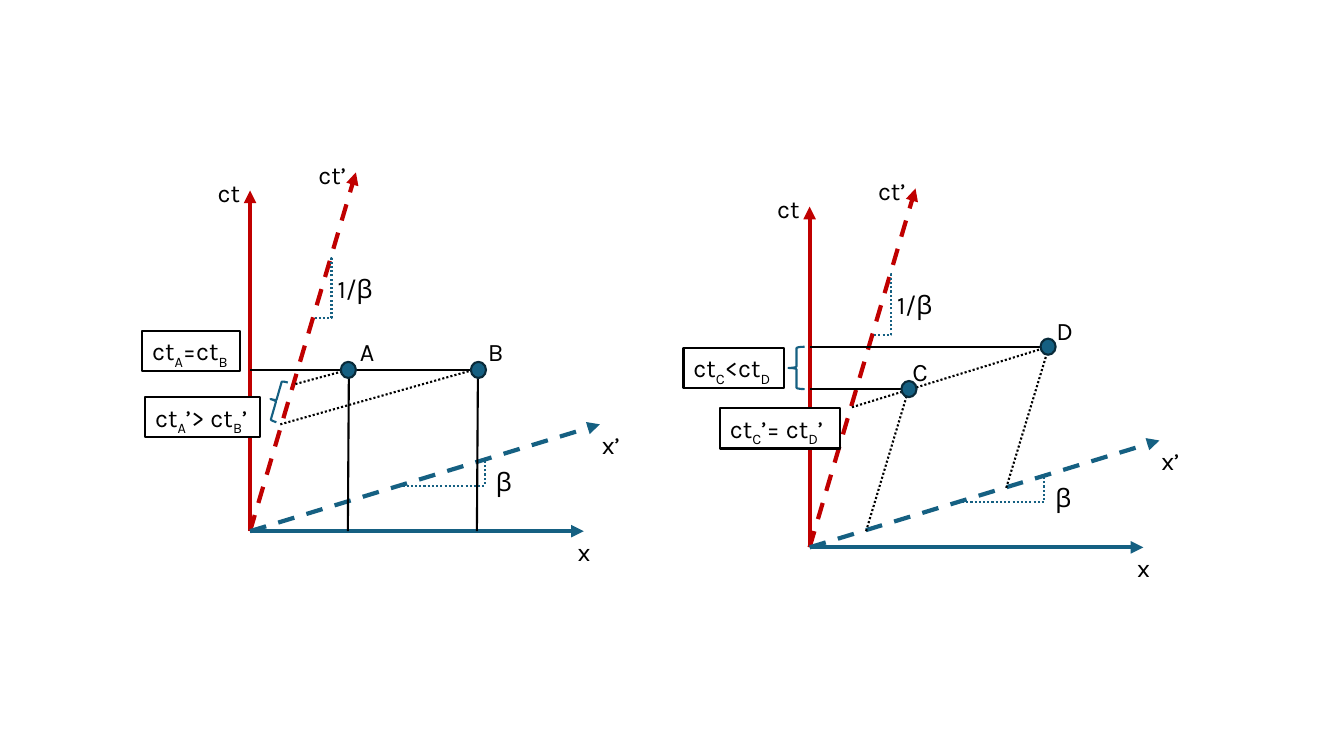
import pptx
import pptx.dml.color
import pptx.enum.dml
import pptx.enum.shapes
import pptx.enum.text
import pptx.oxml.ns
import pptx.oxml.xmlchemy
import pptx.util

PX = 9144
FONT = "Karla"
BLACK, WHITE, RED, BLUE, NAVY = "000000", "FFFFFF", "C00000", "156082", "092A39"
SHAPE = pptx.enum.shapes.MSO_SHAPE
DASH = pptx.enum.dml.MSO_LINE.DASH
DOT = pptx.enum.dml.MSO_LINE.ROUND_DOT

SIMULTANEOUS_AT_REST = {
    "lines": [
        ((42, 214), (275, 214), None),
        ((140, 222), (139, 374), None),
        ((268, 222), (267, 374), None),
        ((87, 228), (139, 214), DOT),
        ((72, 268), (267, 213), DOT),
    ],
    "boxes": [("ct|A|=ct|B", -65, 175, 97), ("ct|A|’> ct|B|’", -62, 241, 114)],
    "brace": (SHAPE.RIGHT_BRACE, 62, 224, 12, 41, 196),
    "points": [(132, 206), (261, 206)],
    "names": [("A", 141, 176, 35), ("B", 268, 176, 35)],
}
SIMULTANEOUS_IN_MOTION = {
    "lines": [
        ((237, 315), (279, 176), DOT),
        ((84, 235), (279, 175), DOT),
        ((98, 358), (140, 218), DOT),
        ((133, 217), (42, 217), None),
        ((271, 175), (42, 175), None),
    ],
    "boxes": [("ct|C|<ct|D", -83, 176, 100), ("ct|C|’= ct|D|’", -47, 236, 119)],
    "brace": (SHAPE.LEFT_BRACE, 21, 175, 16, 42, 0),
    "points": [(133, 209), (271, 167)],
    "names": [("C", 134, 180, 38), ("D", 277, 139, 38)],
}


def px(length):
    """Turn px into EMU."""
    return pptx.util.Emu(round(length * PX))


def color(value):
    """Turn a hex string into a colour."""
    return pptx.dml.color.RGBColor.from_string(value)


def apply(target, values):
    """Set each attribute named in a dict of values."""
    for name, value in values.items():
        setattr(target, name, value)


def add_element(parent, tag, **attributes):
    """Append an XML element with its attributes."""
    element = pptx.oxml.xmlchemy.OxmlElement(tag)
    for name, value in attributes.items():
        element.set(name, value)
    parent.append(element)


def style_line(line, value, width):
    """Give a line its colour and width in points."""
    line.color.rgb = color(value)
    line.width = pptx.util.Pt(width)


def draw_line(page, box, start, end, value=BLACK, width=1.5, dash=None, arrow=False, bend=None):
    """Draw a straight or bent line between two places in the box."""
    kinds = pptx.enum.shapes.MSO_CONNECTOR
    left, top = box
    line = page.shapes.add_connector(
        kinds.STRAIGHT if bend is None else kinds.ELBOW,
        px(left + start[0]), px(top + start[1]), px(left + end[0]), px(top + end[1]))
    style_line(line.line, value, width)
    if dash is not None:
        line.line.dash_style = dash
    tag = pptx.oxml.ns.qn
    properties = line._element.spPr
    if arrow:
        add_element(properties.find(tag("a:ln")), "a:tailEnd", type="triangle")
    if bend is not None:
        guides = properties.find(tag("a:prstGeom")).find(tag("a:avLst"))
        add_element(guides, "a:gd", name="adj1", fmla=f"val {bend}")
    add_element(properties, "a:effectLst")


def write(shape, text, wrap=False):
    """Write text whose every second part, split at bars, is a subscript."""
    frame = shape.text_frame
    apply(frame, {
        "word_wrap": wrap,
        "auto_size": pptx.enum.text.MSO_AUTO_SIZE.SHAPE_TO_FIT_TEXT,
        "vertical_anchor": pptx.enum.text.MSO_ANCHOR.TOP,
    })
    para = frame.paragraphs[0]
    para.alignment = pptx.enum.text.PP_ALIGN.LEFT
    for index, part in enumerate(text.split("|")):
        span = para.add_run()
        span.text = part
        apply(span.font, {"name": FONT, "size": pptx.util.Pt(18)})
        span.font.color.rgb = color(BLACK)
        if index % 2:
            span._r.get_or_add_rPr().set("baseline", "-25000")


def draw_label(page, box, text, x, y, width, wrap=False):
    """Place a text label in the box."""
    label = page.shapes.add_textbox(px(box[0] + x), px(box[1] + y), px(width), px(40))
    write(label, text, wrap)


def draw_shape(page, box, kind, x, y, width, height, fill=None, line=BLACK):
    """Place an outlined shape in the box."""
    shape = page.shapes.add_shape(kind, px(box[0] + x), px(box[1] + y), px(width), px(height))
    shape.shadow.inherit = False
    if fill is None:
        shape.fill.background()
    else:
        shape.fill.solid()
        shape.fill.fore_color.rgb = color(fill)
    style_line(shape.line, line, 1.5)
    return shape


def draw_axes(page, box):
    """Draw the resting and moving axes with their slopes and labels."""
    origin = (42, 374)
    for end, value, dash in [((42, 36), RED, None), ((373, 374), BLUE, None),
                             ((147, 18), RED, DASH), ((389, 268), BLUE, DASH)]:
        draw_line(page, box, origin, end, value, 3, dash, arrow=True)
    for start, end in [((106, 163), (123, 103)), ((189, 329), (276, 305))]:
        draw_line(page, box, start, end, BLUE, dash=DOT, bend=98700)
    draw_label(page, box, "ct", 0, 18, 42, wrap=True)
    for label in [("x", 357, 374, 31), ("ct’", 100, 0, 49), ("1/β", 119, 113, 56),
                  ("β", 276, 305, 34), ("x’", 381, 268, 38)]:
        draw_label(page, box, *label)


def draw_diagram(page, box, events):
    """Draw one spacetime diagram with its two events."""
    draw_axes(page, box)
    for start, end, dash in events["lines"]:
        draw_line(page, box, start, end, dash=dash)
    for text, x, y, width in events["boxes"]:
        write(draw_shape(page, box, SHAPE.RECTANGLE, x, y, width, 40, WHITE), text)
    *brace, rotation = events["brace"]
    draw_shape(page, box, *brace, line=BLUE).rotation = rotation
    for x, y in events["points"]:
        draw_shape(page, box, SHAPE.OVAL, x, y, 15, 16, BLUE, NAVY)
    for name in events["names"]:
        draw_label(page, box, *name)


def main():
    """Build the slide and save it."""
    deck = pptx.Presentation()
    apply(deck, {"slide_width": px(1333), "slide_height": px(750)})
    page = deck.slides.add_slide(deck.slide_layouts[6])
    draw_diagram(page, (206, 153), SIMULTANEOUS_AT_REST)
    draw_diagram(page, (761, 169), SIMULTANEOUS_IN_MOTION)
    deck.save("out.pptx")


if __name__ == "__main__":
    main()
